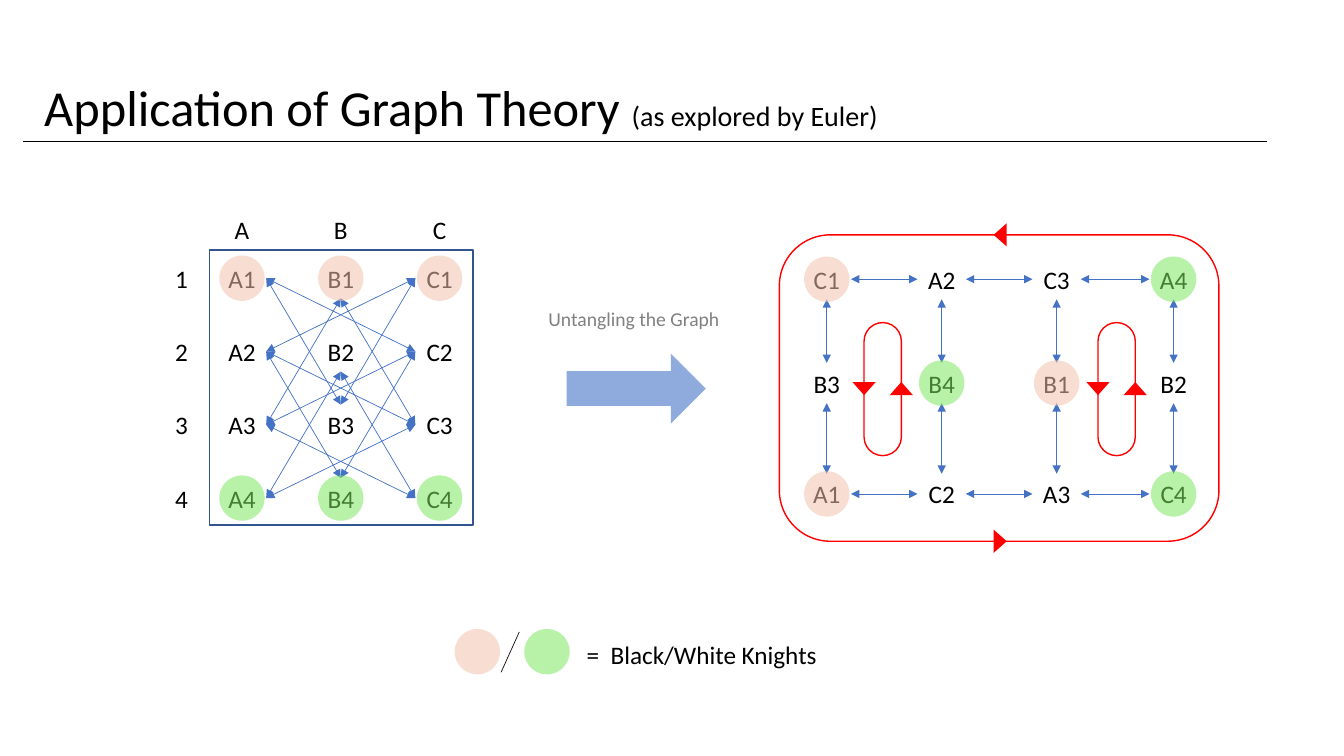
from itertools import combinations

from lxml import etree
from pptx import Presentation
from pptx import util as u
from pptx.dml.color import RGBColor
from pptx.enum import shapes, text
from pptx.oxml import ns

COLOURS = {"black": "000000", "grey": "808080", "slash": "0D0D0D",
           "edge": "4472C4", "board": "325491", "arrow": "8FAADC",
           "cycle": "FF0000", "black_knight": "F2C2AC", "white_knight": "7CE75F"}
FONT = "Calibri"
KNIGHT_SIZE = 0.45
KNIGHTS = {"A1": "black_knight", "B1": "black_knight", "C1": "black_knight",
           "A4": "white_knight", "B4": "white_knight", "C4": "white_knight"}

# Centres of the board squares
BOARD_X = {"A": 2.4, "B": 3.38, "C": 4.36}
BOARD_Y = {str(row + 1): 2.76 + 0.727 * row for row in range(4)}

# Centres and rows of the untangled graph
GRAPH_X = [8.2, 9.34, 10.48, 11.64]
GRAPH_Y = [2.77, 3.8, 4.9]
GRAPH = [["C1", "A2", "C3", "A4"],
         ["B3", "B4", "B1", "B2"],
         ["A1", "C2", "A3", "C4"]]
HALF_W, HALF_H = 0.24, 0.2


def rgb(name):
    return RGBColor.from_string(COLOURS[name])


def inches(*lengths):
    return [u.Inches(length) for length in lengths]


def add_text(slide, at, runs, align=text.PP_ALIGN.LEFT):
    """Place runs of (wording, size, colour) in one paragraph."""
    frame = slide.shapes.add_textbox(*inches(*at)).text_frame
    layout = {"word_wrap": False, "auto_size": text.MSO_AUTO_SIZE.SHAPE_TO_FIT_TEXT}
    for key, value in layout.items():
        setattr(frame, key, value)
    paragraph = frame.paragraphs[0]
    paragraph.alignment = align
    for wording, size, colour in runs:
        run = paragraph.add_run()
        run.text = wording
        for key, value in {"name": FONT, "size": u.Pt(size)}.items():
            setattr(run.font, key, value)
        run.font.color.rgb = rgb(colour)


def add_label(slide, x, y, wording):
    add_text(slide, (x - 0.24, y - 0.2, 0.48, 0.4), [(wording, 18, "black")],
             text.PP_ALIGN.CENTER)


def add_line(slide, start, end, colour, arrows=False):
    line = slide.shapes.add_connector(shapes.MSO_CONNECTOR.STRAIGHT,
                                      *inches(*start, *end))
    line.line.color.rgb = rgb(colour)
    line.line.width = u.Pt(0.5)
    if arrows:
        outline = line.line._get_or_add_ln()
        for tip in ("a:headEnd", "a:tailEnd"):
            etree.SubElement(outline, ns.qn(tip), type="triangle")
    etree.SubElement(line.element.spPr, ns.qn("a:effectLst"))


def add_shape(slide, kind, at, fill=None, outline=None, rotation=0):
    shape = slide.shapes.add_shape(kind, *inches(*at))
    shape.shadow.inherit = False
    shape.rotation = rotation
    if fill:
        shape.fill.solid()
        shape.fill.fore_color.rgb = rgb(fill)
    else:
        shape.fill.background()
    if outline:
        shape.line.color.rgb = rgb(outline)
        shape.line.width = u.Pt(1)
    else:
        shape.line.fill.background()
    return shape


def add_knight(slide, x, y, colour):
    """Lay a translucent disc centred on a square."""
    half = KNIGHT_SIZE / 2
    disc = add_shape(slide, shapes.MSO_SHAPE.OVAL,
                     (x - half, y - half, KNIGHT_SIZE, KNIGHT_SIZE), colour)
    fill_colour = next(disc.element.spPr.iter(ns.qn("a:srgbClr")))
    etree.SubElement(fill_colour, ns.qn("a:alpha"), val="54000")


def add_pointer(slide, x, y, rotation):
    add_shape(slide, shapes.MSO_SHAPE.ISOSCELES_TRIANGLE,
              (x - 0.115, y - 0.065, 0.23, 0.13), "cycle", rotation=rotation)


def add_squares(slide, centres):
    for square, (x, y) in centres.items():
        add_label(slide, x, y, square)


def add_knights(slide, centres):
    for square, colour in KNIGHTS.items():
        add_knight(slide, *centres[square], colour)


def move_end(square):
    """Point where knight moves meet a board square."""
    column, row = square
    x, y = BOARD_X[column], BOARD_Y[row]
    if column == "B":
        return x, y + (HALF_H if row in "12" else -HALF_H)
    return x + (HALF_W if column == "A" else -HALF_W), y


def is_knight_move(first, second):
    columns = ord(first[0]) - ord(second[0])
    rows = int(first[1]) - int(second[1])
    return abs(columns * rows) == 2


def add_board(slide):
    centres = {c + r: (x, y) for r, y in BOARD_Y.items() for c, x in BOARD_X.items()}
    add_squares(slide, centres)
    for first, second in combinations(centres, 2):
        if is_knight_move(first, second):
            add_line(slide, move_end(first), move_end(second), "edge", arrows=True)
    add_shape(slide, shapes.MSO_SHAPE.RECTANGLE, (2.08, 2.48, 2.61, 2.73),
              outline="board")
    for column, x in BOARD_X.items():
        add_label(slide, x, 2.28, column)
    for row, y in BOARD_Y.items():
        add_label(slide, 1.8, y, row)
    add_knights(slide, centres)


def add_graph(slide):
    centres = {square: (x, y) for squares, y in zip(GRAPH, GRAPH_Y)
               for square, x in zip(squares, GRAPH_X)}
    add_squares(slide, centres)
    # Edges along the outer rows, then down every column
    for y in (GRAPH_Y[0], GRAPH_Y[-1]):
        for left, right in zip(GRAPH_X, GRAPH_X[1:]):
            add_line(slide, (left + HALF_W, y), (right - HALF_W, y), "edge", arrows=True)
    for x in GRAPH_X:
        for top, bottom in zip(GRAPH_Y, GRAPH_Y[1:]):
            add_line(slide, (x, top + HALF_H), (x, bottom - HALF_H), "edge", arrows=True)
    add_knights(slide, centres)


def add_cycles(slide):
    rounded = shapes.MSO_SHAPE.ROUNDED_RECTANGLE
    add_shape(slide, rounded, (7.73, 2.33, 4.36, 3.04), outline="cycle")
    for y, rotation in ((2.33, 270), (5.37, 90)):
        add_pointer(slide, 9.92, y, rotation)
    for left in (8.57, 10.89):
        loop = add_shape(slide, rounded, (left, 3.2, 0.37, 1.32), outline="cycle")
        loop.adjustments[0] = 0.5
        add_pointer(slide, left, 3.855, 180)
        add_pointer(slide, left + 0.37, 3.855, 0)


def add_legend(slide):
    for x, colour in ((4.735, "black_knight"), (5.425, "white_knight")):
        add_knight(slide, x, 6.465, colour)
    add_line(slide, (4.97, 6.67), (5.15, 6.27), "slash")
    add_text(slide, (5.72, 6.29, 2.51, 0.4), [("=  Black/White Knights", 18, "black")])


def main():
    deck = Presentation()
    deck.slide_width, deck.slide_height = inches(13.33, 7.5)
    slide = deck.slides.add_slide(deck.slide_layouts[6])

    # Knight moves on the board, and the same graph untangled
    add_board(slide)
    add_graph(slide)
    add_cycles(slide)
    add_legend(slide)

    # Step between the two
    add_shape(slide, shapes.MSO_SHAPE.RIGHT_ARROW, (5.62, 3.51, 1.38, 0.69), "arrow")
    add_text(slide, (5.34, 3, 1.92, 0.34), [("Untangling the Graph", 14, "grey")])

    # Title and its rule
    add_text(slide, (0.34, 0.71, 8.61, 0.71),
             [("Application of Graph Theory ", 36, "black"),
              ("(as explored by Euler)", 20, "black")])
    add_line(slide, (0.23, 1.4), (12.57, 1.4), "black")
    deck.save("out.pptx")


main()
